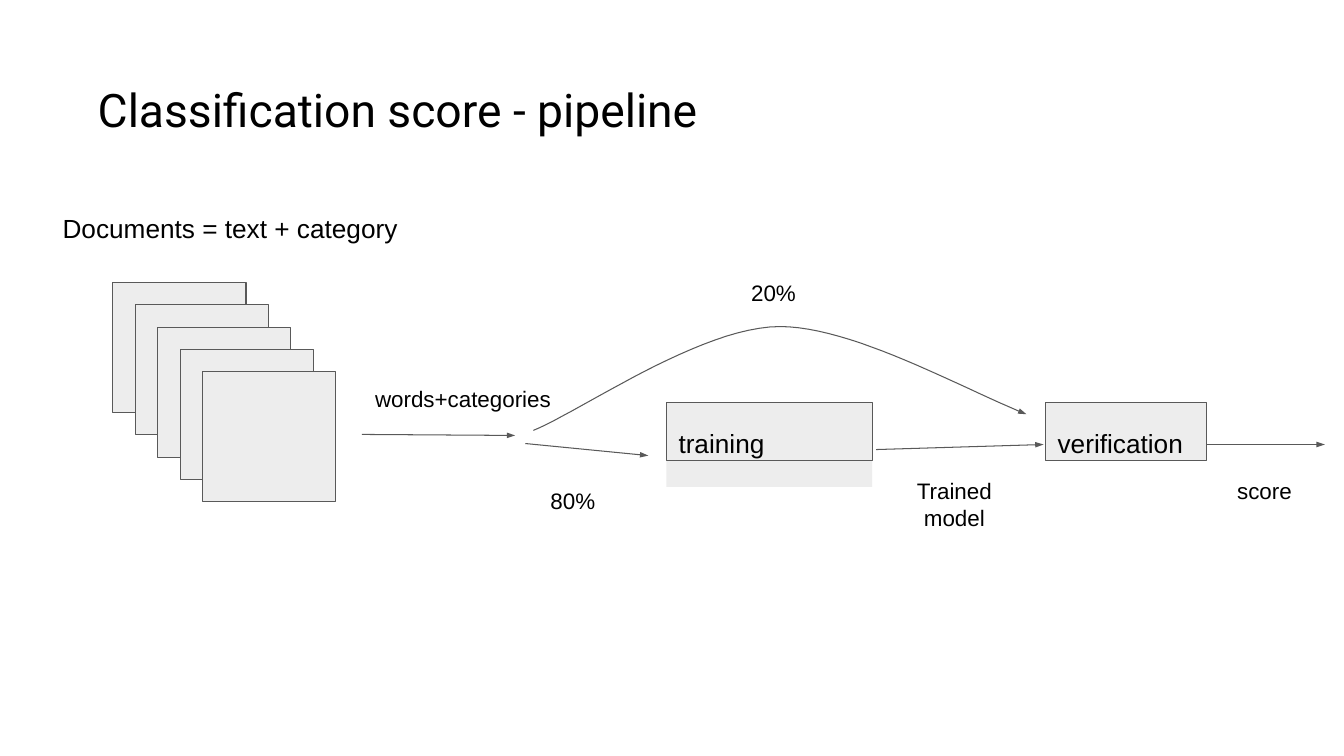
from dataclasses import dataclass

from lxml import etree
from pptx import Presentation
from pptx.dml.color import RGBColor
from pptx.enum.shapes import MSO_CONNECTOR, MSO_SHAPE
from pptx.enum.text import MSO_ANCHOR, MSO_AUTO_SIZE, PP_ALIGN
from pptx.oxml.ns import qn
from pptx.util import Inches, Pt


@dataclass(frozen=True)
class Theme:
    ink: RGBColor = RGBColor(0x00, 0x00, 0x00)
    panel: RGBColor = RGBColor(0xED, 0xED, 0xED)
    line: RGBColor = RGBColor(0x59, 0x59, 0x59)
    title_font: str = "Roboto"
    body_font: str = "Arial"
    title_size: float = 33
    heading_size: float = 18.7
    label_size: float = 16
    line_width: float = 0.75


THEME = Theme()


def write_text(shape, text, size=THEME.label_size, font=THEME.body_font,
               align=PP_ALIGN.LEFT, anchor=MSO_ANCHOR.TOP,
               margins=(0.02, 0.04, 0, 0), line_spacing=None):
    """Margins are left, top, right and bottom, in inches."""
    frame = shape.text_frame
    frame.word_wrap = True
    frame.auto_size = MSO_AUTO_SIZE.NONE
    frame.vertical_anchor = anchor
    (frame.margin_left, frame.margin_top,
     frame.margin_right, frame.margin_bottom) = map(Inches, margins)
    paragraph = frame.paragraphs[0]
    paragraph.alignment = align
    paragraph.line_spacing = line_spacing
    run = paragraph.add_run()
    run.text = text
    run.font.name = font
    run.font.size = Pt(size)
    run.font.color.rgb = THEME.ink


def add_label(slide, box, text, **text_format):
    shape = slide.shapes.add_textbox(*map(Inches, box))
    write_text(shape, text, **text_format)


def add_box(slide, box, filled=True, outlined=True):
    shape = slide.shapes.add_shape(MSO_SHAPE.RECTANGLE, *map(Inches, box))
    shape.shadow.inherit = False
    if filled:
        shape.fill.solid()
        shape.fill.fore_color.rgb = THEME.panel
    else:
        shape.fill.background()
    if outlined:
        shape.line.color.rgb = THEME.line
        shape.line.width = Pt(THEME.line_width)
    else:
        shape.line.fill.background()
    return shape


def style_arrow(shape):
    shape.line.color.rgb = THEME.line
    shape.line.width = Pt(THEME.line_width)
    line = shape.line._get_or_add_ln()
    etree.SubElement(line, qn("a:tailEnd"), type="triangle", w="sm", len="med")


def add_arrow(slide, start, end):
    connector = slide.shapes.add_connector(
        MSO_CONNECTOR.STRAIGHT, *map(Inches, start + end))
    style_arrow(connector)
    etree.SubElement(connector._element.spPr, qn("a:effectLst"))


def curve_points(controls, steps=24):
    """Points along a cubic curve, without its first one."""
    for step in range(1, steps + 1):
        t = step / steps
        weights = ((1 - t) ** 3, 3 * t * (1 - t) ** 2, 3 * t * t * (1 - t), t ** 3)
        yield tuple(sum(weight * point[axis] for weight, point in zip(weights, controls))
                    for axis in (0, 1))


def add_curved_arrow(slide, box):
    left, top, width, height = box
    start, peak = (left, top + height), (left + 0.5 * width, top)
    end = (left + width, top + 0.845 * height)
    rise = (start, (left + 0.094 * width, top + 0.82 * height),
            (left + 0.34 * width, top), peak)
    fall = (peak, (left + 0.646 * width, top),
            (left + 0.86 * width, top + 0.573 * height), end)
    points = [*curve_points(rise), *curve_points(fall)]
    builder = slide.shapes.build_freeform(*start, scale=Inches(1))
    # Fine local units keep the curve smooth
    units = 1000
    builder = slide.shapes.build_freeform(
        round(start[0] * units), round(start[1] * units), scale=Inches(1) / units)
    builder.add_line_segments(
        [(round(x * units), round(y * units)) for x, y in points], close=False)
    curve = builder.convert_to_shape()
    curve.shadow.inherit = False
    curve.fill.background()
    style_arrow(curve)


def add_title(slide, box, text):
    title = slide.shapes.title
    title.left, title.top, title.width, title.height = map(Inches, box)
    write_text(title, text, size=THEME.title_size, font=THEME.title_font,
               align=PP_ALIGN.CENTER, anchor=MSO_ANCHOR.MIDDLE)


def add_documents(slide, box, count=5, offset=0.2225):
    """Stack of overlapping pages, below its caption."""
    left, top, width, height = box
    add_label(slide, (left, top, width, 0.33), "Documents = text + category",
              size=THEME.heading_size)
    page_left, page_top = left + 0.52, top + 0.73
    page_height = height - 0.73 - (count - 1) * offset
    for index in range(count):
        shift = index * offset
        add_box(slide, (page_left + shift, page_top + shift, 1.32, page_height))


def add_stage(slide, box, text, filled=True):
    stage = add_box(slide, box, filled=filled)
    write_text(stage, text, size=THEME.heading_size, anchor=MSO_ANCHOR.BOTTOM,
               margins=(0.12, 0, 0, 0.02))


def add_pipeline(slide, box):
    """Split, training, verification and score, from left to right."""
    left, top, width, height = box
    stage_top, caption_top = top + 1.26, top + 1.96
    flow = top + 1.68

    # Stages; the panel behind training reaches below its outline
    training_left, verification_left = left + 3.02, left + 6.78
    add_box(slide, (training_left, stage_top, 2.04, 0.84), outlined=False)
    add_stage(slide, (training_left, stage_top, 2.04, 0.58), "training", filled=False)
    add_stage(slide, (verification_left, stage_top, 1.6, 0.58), "verification")

    # Arrows
    add_arrow(slide, (left, flow - 0.1), (left + 1.52, flow - 0.09))
    add_arrow(slide, (left + 1.62, flow - 0.01), (left + 2.84, flow + 0.11))
    add_arrow(slide, (left + 5.1, flow + 0.05), (left + 6.76, flow))
    add_arrow(slide, (left + 8.38, flow), (left + width, flow))
    add_curved_arrow(slide, (left + 1.7, top + 0.51, 4.89, 1.03))

    # Captions
    add_label(slide, (left + 0.11, top + 1.05, 1.85, 0.29), "words+categories")
    add_label(slide, (left + 3.84, top, 0.5, 0.29), "20%")
    add_label(slide, (left + 1.85, top + 2.06, 0.5, 0.29), "80%")
    add_label(slide, (left + 5.48, caption_top, 0.79, height - 1.96), "Trained model",
              align=PP_ALIGN.CENTER, margins=(0, 0.05, 0, 0), line_spacing=Pt(18.9))
    add_label(slide, (left + 8.66, caption_top, 0.65, 0.29), "score")


def main():
    presentation = Presentation()
    presentation.slide_width = Inches(13.33)
    presentation.slide_height = Inches(7.5)
    slide = presentation.slides.add_slide(presentation.slide_layouts[5])
    add_title(slide, (0.56, 0.78, 6.75, 0.57), "Classification score - pipeline")
    add_documents(slide, (0.6, 2.07, 3.35, 2.91))
    add_pipeline(slide, (3.59, 2.73, 9.55, 2.52))
    presentation.save("out.pptx")


if __name__ == "__main__":
    main()
